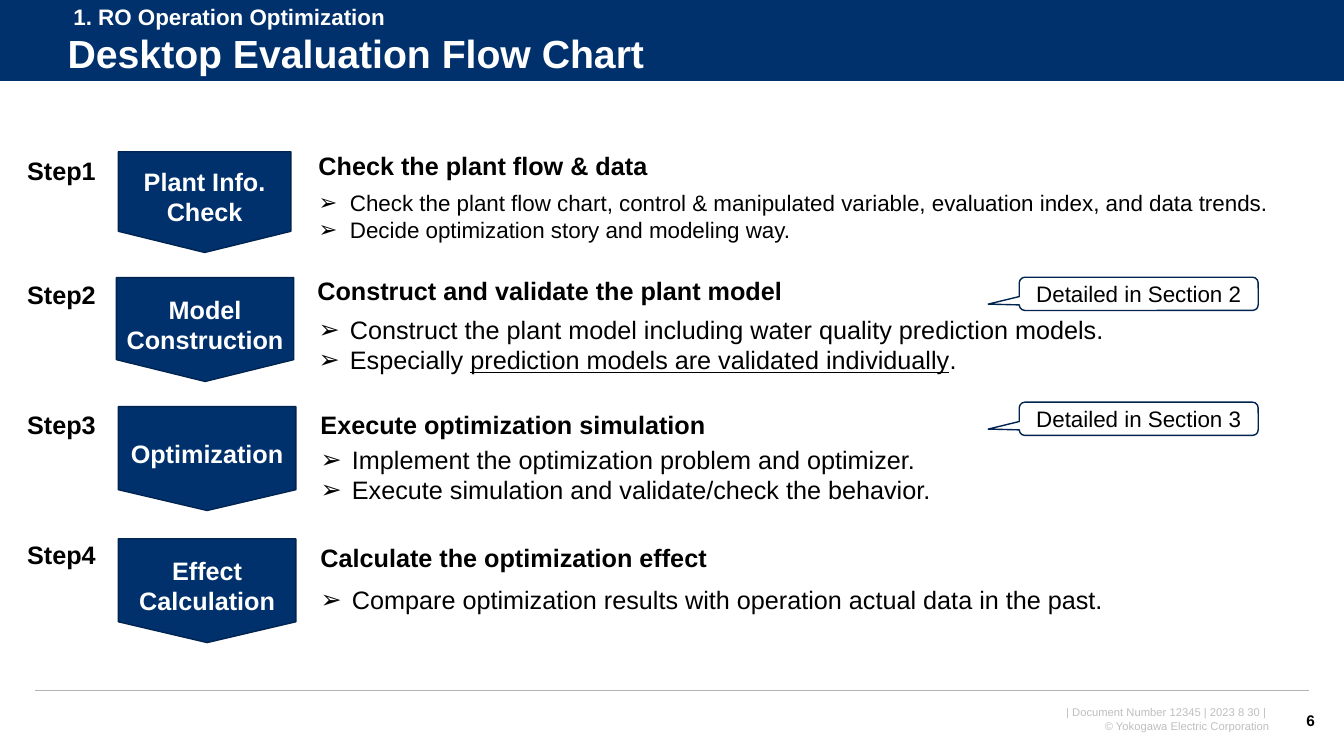
from dataclasses import dataclass
from typing import Optional

from pptx import Presentation
from pptx.dml.color import RGBColor
from pptx.enum.shapes import MSO_CONNECTOR, MSO_SHAPE as Shape
from pptx.enum.text import MSO_ANCHOR as Anchor, MSO_AUTO_SIZE as AutoSize, PP_ALIGN as Align
from pptx.oxml.ns import qn
from pptx.util import Inches, Pt
from lxml.etree import SubElement

NAVY = RGBColor(0x00, 0x31, 0x6C)
EDGE = RGBColor(0x00, 0x24, 0x50)
WHITE = RGBColor(0xFF, 0xFF, 0xFF)
BLACK = RGBColor(0x00, 0x00, 0x00)
RULE = RGBColor(0xB2, 0xB2, 0xB2)
PALE = RGBColor(0xBF, 0xBF, 0xBF)
FONT = "Arial"
WIDTH, HEIGHT = Inches(13.33), Inches(7.5)
COMPARISON = 4  # layout with a title and four bodies


@dataclass
class Box:
    """A place on the slide, in percent of its width and height."""
    x: float
    y: float
    w: float
    h: float

    def emu(self) -> tuple:
        return (int(WIDTH * self.x / 100), int(HEIGHT * self.y / 100),
                int(WIDTH * self.w / 100), int(HEIGHT * self.h / 100))


@dataclass
class Step:
    name: str
    label_y: float
    arrow: Box
    tip: float
    heading: str
    heading_box: Box
    bullets: list  # text between underscores is underlined
    list_box: Box
    size: int = 18
    note: Optional[str] = None
    note_y: float = 0


STEPS = [
    Step("Plant Info. Check", 19.87, Box(8.81, 20.07, 12.83, 13.33), 0.21,
         "Check the plant flow & data", Box(22.96, 19.2, 31.13, 5.33),
         ["Check the plant flow chart, control & manipulated variable, "
          "evaluation index, and data trends.",
          "Decide optimization story and modeling way."],
         Box(22.96, 24.4, 77.04, 8.53), size=16),
    Step("Model Construction", 36.27, Box(8.66, 36.73, 13.2, 13.73), 0.21,
         "Construct and validate the plant model", Box(22.88, 35.73, 39.76, 5.33),
         ["Construct the plant model including water quality prediction models.",
          "Especially _prediction models are validated individually_."],
         Box(22.96, 40.93, 72.24, 9.47),
         note="Detailed in Section 2", note_y=36.67),
    Step("Optimization", 53.47, Box(8.81, 53.8, 13.2, 13.73), 0.2,
         "Execute optimization simulation", Box(23.11, 53.47, 32.56, 5.33),
         ["Implement the optimization problem and optimizer.",
          "Execute simulation and validate/check the behavior."],
         Box(23.11, 58.13, 69.84, 9.47),
         note="Detailed in Section 3", note_y=53.2),
    Step("Effect Calculation", 70.67, Box(8.81, 71.27, 13.2, 13.73), 0.2,
         "Calculate the optimization effect", Box(23.11, 71.07, 32.56, 5.33),
         ["Compare optimization results with operation actual data in the past."],
         Box(23.11, 76.67, 63.17, 5.33)),
]


def put_text(s, lines: list, *, size: int = 18, bold: bool = False,
             color: RGBColor = BLACK, align=Align.LEFT, anchor=Anchor.TOP,
             wrap: bool = True, spacing: float = 1.0, bullet: str = "") -> None:
    tf = s.text_frame
    tf.word_wrap, tf.auto_size, tf.vertical_anchor = wrap, AutoSize.NONE, anchor
    for i, line in enumerate(lines):
        p = tf.add_paragraph() if i else tf.paragraphs[0]
        p.alignment, p.line_spacing, p.space_before = align, spacing, Pt(0)
        if bullet:
            pPr = p._p.get_or_add_pPr()
            pPr.set("marL", str(Inches(0.31)))
            pPr.set("indent", str(-Inches(0.31)))
            SubElement(pPr, qn("a:buFont")).set("typeface", FONT)
            SubElement(pPr, qn("a:buChar")).set("char", bullet)
        for j, part in enumerate(line.split("_")):
            r = p.add_run()
            r.text = part
            f = r.font
            f.name, f.size, f.bold, f.underline = FONT, Pt(size), bold, j % 2 == 1
            f.color.rgb = color


def add_text(slide, box: Box, lines: list, **fmt) -> None:
    put_text(slide.shapes.add_textbox(*box.emu()), lines, **fmt)


def fill_placeholder(s, box: Box, lines: list, **fmt) -> None:
    s.left, s.top, s.width, s.height = box.emu()
    put_text(s, lines, **fmt)


def add_block(slide, kind, box: Box, fill: RGBColor, edge: Optional[RGBColor] = None):
    s = slide.shapes.add_shape(kind, *box.emu())
    s.shadow.inherit = False
    s.fill.solid()
    s.fill.fore_color.rgb = fill
    if edge is None:
        s.line.fill.background()
    else:
        s.line.color.rgb, s.line.width = edge, Pt(1)
    return s


def add_rule(slide, x1: float, x2: float, y: float, color: RGBColor, width: float) -> None:
    left, top, length, _ = Box(x1, y, x2 - x1, 0).emu()
    line = slide.shapes.add_connector(MSO_CONNECTOR.STRAIGHT, left, top, left + length, top)
    line.line.color.rgb, line.line.width = color, Pt(width)
    SubElement(line._element.spPr, qn("a:effectLst"))


def add_arrow(slide, step: Step) -> None:
    """A pentagon turned to point down, with upright text."""
    s = add_block(slide, Shape.PENTAGON, step.arrow, NAVY, EDGE)
    left, top, w, h = step.arrow.emu()
    s.left, s.top, s.width, s.height = left + (w - h) // 2, top + (h - w) // 2, h, w
    s.rotation = 90
    s.adjustments[0] = step.tip
    put_text(s, [step.name], bold=True, color=WHITE, align=Align.CENTER, anchor=Anchor.MIDDLE)
    s._element.txBody.bodyPr.set("vert", "vert270")


def add_callout(slide, text: str, y: float) -> None:
    s = add_block(slide, Shape.ROUNDED_RECTANGULAR_CALLOUT, Box(75.84, y, 17.78, 4.4), WHITE, EDGE)
    for i, value in enumerate((-0.63, 0.31, 0.17)):
        s.adjustments[i] = value
    put_text(s, [text], size=16, align=Align.CENTER, anchor=Anchor.MIDDLE)


def main() -> None:
    prs = Presentation()
    prs.slide_width, prs.slide_height = WIDTH, HEIGHT
    slide = prs.slides.add_slide(prs.slide_layouts[COMPARISON])
    title, *bodies = slide.placeholders

    # Header band, sent behind the title
    band = add_block(slide, Shape.RECTANGLE, Box(0, 0, 100, 10.8), NAVY)
    slide.shapes._spTree.insert(2, band._element)
    add_rule(slide, 0, 100, 10.8, WHITE, 0.75)
    fill_placeholder(title, Box(4.28, 3.6, 93.55, 7.6), ["Desktop Evaluation Flow Chart"],
                     size=28, bold=True, color=WHITE, anchor=Anchor.MIDDLE, spacing=0.9)
    add_text(slide, Box(4.73, -0.27, 37.13, 4.93), ["1. RO Operation Optimization"],
             size=16, bold=True, color=WHITE)

    # Steps
    for number, (step, body) in enumerate(zip(STEPS, bodies), start=1):
        add_text(slide, Box(1.28, step.label_y, 6.68, 5.33), [f"Step{number}"],
                 bold=True, wrap=False)
        add_arrow(slide, step)
        add_text(slide, step.heading_box, [step.heading], bold=True)
        fill_placeholder(body, step.list_box, step.bullets, size=step.size, bullet="➢")
        if step.note:
            add_callout(slide, step.note, step.note_y)

    # Footer
    add_rule(slide, 2.63, 97.37, 91.33, RULE, 1)
    add_text(slide, Box(71.12, 92.67, 24.08, 4.93),
             ["| Document Number 12345 | 2023 8 30 | ", "© Yokogawa Electric Corporation"],
             size=8, color=PALE, align=Align.RIGHT)
    add_text(slide, Box(95.27, 92.67, 3.3, 5.33), ["6"], size=11, bold=True,
             align=Align.RIGHT, anchor=Anchor.MIDDLE, wrap=False)

    prs.save("out.pptx")


if __name__ == "__main__":
    main()
